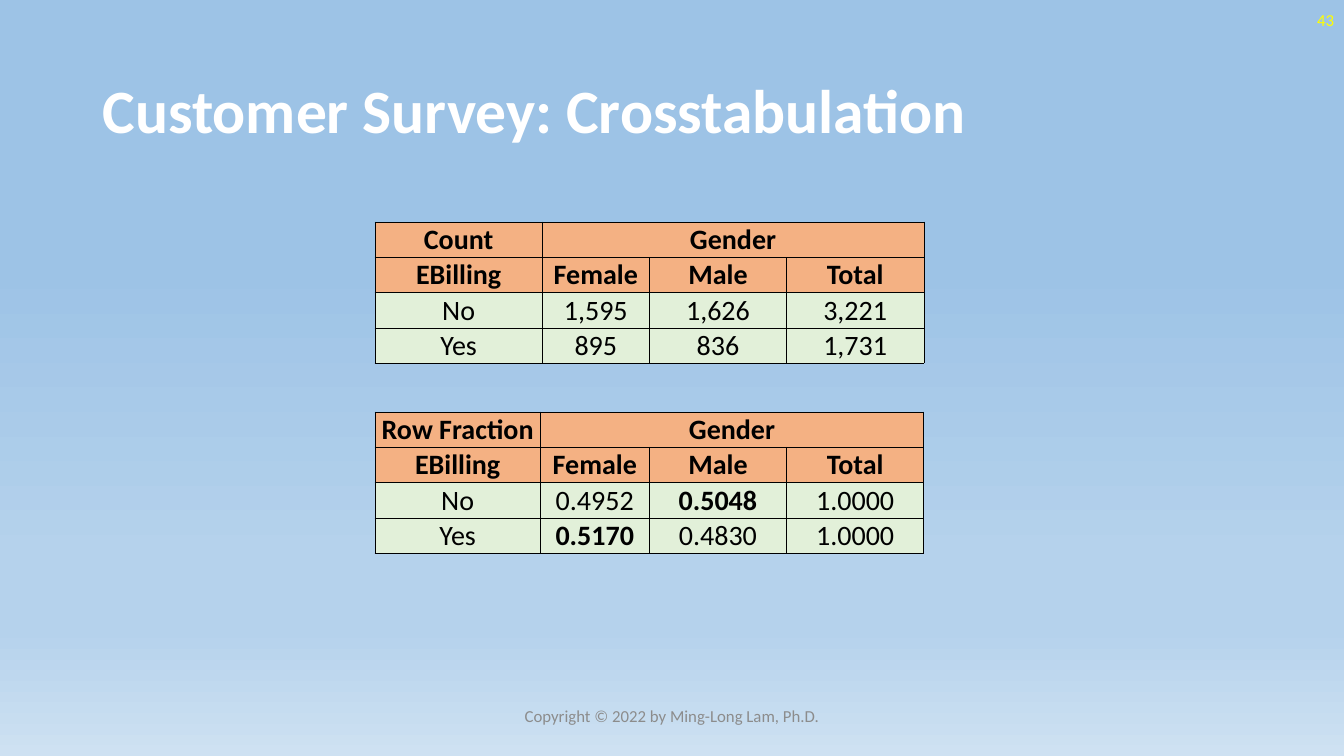
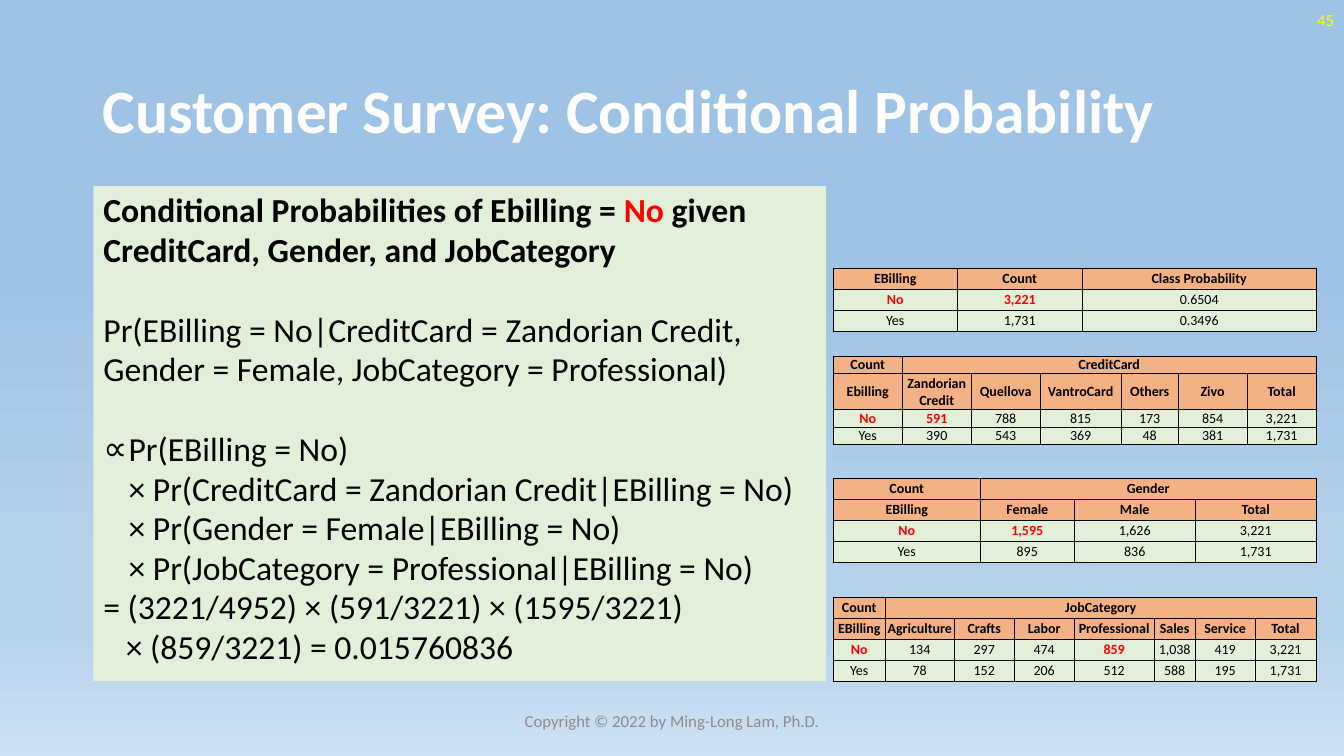
import pptx
import pptx.dml.color
import pptx.enum.shapes
import pptx.enum.text
import pptx.oxml
import pptx.oxml.ns
import pptx.util

Pt = pptx.util.Pt
RGBColor = pptx.dml.color.RGBColor
ALIGN = pptx.enum.text.PP_ALIGN
MIDDLE = pptx.enum.text.MSO_ANCHOR.MIDDLE
NS = pptx.oxml.ns.nsdecls("a")

# Shared style
FONT = "Calibri"
WHITE = RGBColor(0xFF, 0xFF, 0xFF)
BLACK = RGBColor(0x00, 0x00, 0x00)
RED = RGBColor(0xFF, 0x00, 0x00)
YELLOW = RGBColor(0xFF, 0xFF, 0x00)
GRAY = RGBColor(0x8C, 0x8C, 0x8C)
ORANGE = RGBColor(0xF4, 0xB1, 0x83)
GREEN = RGBColor(0xE2, 0xF0, 0xD9)
SKY = RGBColor(0x9D, 0xC3, 0xE6)
HAZE = RGBColor(0xB5, 0xD2, 0xEC)
HORIZON = RGBColor(0xCE, 0xE1, 0xF2)
SKY_STOPS = [(35, SKY), (74, HAZE), (83, HAZE), (100, HORIZON)]

SLIDE_WIDTH, SLIDE_HEIGHT = 960, 540
TITLE_BOX = (66.2, 28.8, 828, 104.4)
NUMBER_BOX = (744, 0, 216, 28.8)
COPYRIGHT = "Copyright © 2022 by Ming-Long Lam, Ph.D."

# Crosstab contents
GENDER_HEADER = [["Count", "Gender", "", ""],
                 ["EBilling", "Female", "Male", "Total"]]
GENDER_COUNTS = GENDER_HEADER + [["No", "1,595", "1,626", "3,221"],
                                 ["Yes", "895", "836", "1,731"]]
GENDER_FRACTIONS = [["Row Fraction", "Gender", "", ""], GENDER_HEADER[1],
                    ["No", "0.4952", "0.5048", "1.0000"],
                    ["Yes", "0.5170", "0.4830", "1.0000"]]
CLASS_PROBABILITIES = [["EBilling", "Count", "Class Probability"],
                       ["No", "3,221", "0.6504"],
                       ["Yes", "1,731", "0.3496"]]
CARD_COUNTS = [
    ["Count", "CreditCard", "", "", "", "", ""],
    ["Ebilling", "Zandorian Credit", "Quellova", "VantroCard", "Others",
     "Zivo", "Total"],
    ["No", "591", "788", "815", "173", "854", "3,221"],
    ["Yes", "390", "543", "369", "48", "381", "1,731"]]
JOB_COUNTS = [
    ["Count", "JobCategory", "", "", "", "", "", ""],
    ["EBilling", "Agriculture", "Crafts", "Labor", "Professional", "Sales",
     "Service", "Total"],
    ["No", "134", "297", "474", "859", "1,038", "419", "3,221"],
    ["Yes", "78", "152", "206", "512", "588", "195", "1,731"]]


def add_run(paragraph, text, size, color=BLACK, bold=False):
    run = paragraph.add_run()
    run.text = text
    run.font.name = FONT
    run.font.size = Pt(size)
    run.font.bold = bold
    run.font.color.rgb = color


def draw_line(slide, box, text, size, color, align=ALIGN.LEFT, bold=False,
              spacing=1.0):
    """A single line of text, centred vertically in its box."""
    frame = slide.shapes.add_textbox(*map(Pt, box)).text_frame
    frame.word_wrap = True
    frame.vertical_anchor = MIDDLE
    paragraph = frame.paragraphs[0]
    paragraph.alignment = align
    paragraph.line_spacing = spacing
    add_run(paragraph, text, size, color, bold)


def paint_sky(master):
    """Gradient background that every slide inherits."""
    fill = master.background.fill
    fill.gradient()
    fill.gradient_angle = 270
    stops = fill.gradient_stops
    stop_list = master.element.find(".//" + pptx.oxml.ns.qn("a:gsLst"))
    for old_stop in list(stop_list):
        stop_list.remove(old_stop)
    for percent, color in SKY_STOPS:
        stop_list.append(pptx.oxml.parse_xml(
            f'<a:gs {NS} pos="{percent * 1000}">'
            f'<a:srgbClr val="{color}"/></a:gs>'))


def start_slide(prs, title, number, footer_top):
    slide = prs.slides.add_slide(prs.slide_layouts[6])
    draw_line(slide, TITLE_BOX, title, 44, WHITE, bold=True, spacing=0.9)
    draw_line(slide, NUMBER_BOX, number, 12, YELLOW, ALIGN.RIGHT)
    draw_line(slide, (318, footer_top, 324, 28.8), COPYRIGHT, 12, GRAY,
              ALIGN.CENTER)
    return slide


def style_cell(cell, fill_color):
    cell.margin_left = cell.margin_right = cell.margin_top = Pt(0.5)
    cell.margin_bottom = 0
    cell.vertical_anchor = MIDDLE
    cell.fill.solid()
    cell.fill.fore_color.rgb = fill_color
    properties = cell._tc.get_or_add_tcPr()
    for position, side in enumerate(("lnL", "lnR", "lnT", "lnB")):
        properties.insert(position, pptx.oxml.parse_xml(
            f'<a:{side} {NS} w="{Pt(0.5)}"><a:solidFill>'
            f'<a:srgbClr val="{BLACK}"/></a:solidFill></a:{side}>'))


def draw_crosstab(slide, box, rows, column_shares, size, marked,
                  mark_color=BLACK, row_shares=None):
    """Shares divide the box; marked cells are bold in mark_color."""
    width, height = box[2:]
    row_shares = row_shares or [1] * len(rows)
    table = slide.shapes.add_table(len(rows), len(column_shares),
                                   *map(Pt, box)).table
    table.first_row = table.horz_banding = False
    for column, share in zip(table.columns, column_shares):
        column.width = Pt(width * share / sum(column_shares))
    for row, share in zip(table.rows, row_shares):
        row.height = Pt(height * share / sum(row_shares))

    header_rows = len(rows) - 2
    for r, texts in enumerate(rows):
        for c, text in enumerate(texts):
            cell = table.cell(r, c)
            is_header, is_marked = r < header_rows, (r, c) in marked
            style_cell(cell, ORANGE if is_header else GREEN)
            if text:
                paragraph = cell.text_frame.paragraphs[0]
                paragraph.alignment = ALIGN.CENTER
                add_run(paragraph, text, size,
                        mark_color if is_marked else BLACK,
                        is_header or is_marked)
    if header_rows == 2:
        table.cell(0, 1).merge(table.cell(0, len(column_shares) - 1))


def draw_derivation(slide, box):
    """Green panel that works out the conditional probability."""
    panel = slide.shapes.add_shape(
        pptx.enum.shapes.MSO_SHAPE.RECTANGLE, *map(Pt, box))
    panel.shadow.inherit = False
    panel.fill.solid()
    panel.fill.fore_color.rgb = GREEN
    panel.line.fill.background()
    frame = panel.text_frame
    frame.word_wrap = True
    frame.vertical_anchor = pptx.enum.text.MSO_ANCHOR.TOP
    size, gap = 24, 28.8

    def add_step(paragraph, lines, space_before=0, margin=0, bullet=None):
        paragraph.alignment = ALIGN.LEFT
        paragraph.line_spacing = 0.98
        paragraph.space_before = Pt(space_before)
        properties = paragraph._p.get_or_add_pPr()
        properties.set("marL", str(Pt(margin)))
        properties.set("indent", str(-Pt(margin) if bullet else 0))
        if bullet:
            properties.append(pptx.oxml.parse_xml(
                f'<a:buFont {NS} typeface="{FONT}"/>'))
            properties.append(pptx.oxml.parse_xml(
                f'<a:buChar {NS} char="{bullet}"/>'))
        for i, line in enumerate(lines):
            if i:
                paragraph.add_line_break()
            add_run(paragraph, line, size)

    # Heading
    heading = frame.paragraphs[0]
    add_step(heading, [])
    add_run(heading, "Conditional Probabilities of Ebilling = ", size,
            bold=True)
    add_run(heading, "No", size, RED, bold=True)
    add_run(heading, " given CreditCard, Gender, and JobCategory", size,
            bold=True)

    # Question, factors and result
    add_step(frame.add_paragraph(), [
        "Pr(EBilling = No|CreditCard = Zandorian Credit, "
        "Gender = Female, JobCategory = Professional)"], gap)
    add_step(frame.add_paragraph(), [
        "Pr(EBilling = No)",
        "× Pr(CreditCard = Zandorian Credit|EBilling = No)",
        "× Pr(Gender = Female|EBilling = No)",
        "× Pr(JobCategory = Professional|EBilling = No)"], gap, 18, "∝")
    add_step(frame.add_paragraph(),
             ["= (3221/4952) × (591/3221) × (1595/3221)"])
    add_step(frame.add_paragraph(), ["× (859/3221) = 0.015760836"], margin=16)


def build_crosstab_slide(prs):
    slide = start_slide(prs, "Customer Survey: Crosstabulation", "43", 496.8)
    left, width, height = 267.9, 392, 100.8
    draw_crosstab(slide, (left, 158.6, width, height), GENDER_COUNTS,
                  [167, 107, 137, 137], 20, set())
    draw_crosstab(slide, (left, 294.3, width, height), GENDER_FRACTIONS,
                  [165, 109, 137, 137], 20, {(2, 2), (3, 1)})


def build_probability_slide(prs):
    slide = start_slide(prs, "Customer Survey: Conditional Probability",
                        "45", 500.4)
    draw_derivation(slide, (66.8, 133, 523.4, 353.6))
    # top, height, rows, column shares, red cells, row shares
    evidence = [
        (191.4, 45, CLASS_PROBABILITIES, [124, 125, 234],
         {(1, 0), (1, 1)}, None),
        (254.3, 63.4, CARD_COUNTS, [69, 69, 69, 81, 57, 69, 69],
         {(2, 0), (2, 1)}, [1, 2, 1, 1]),
        (341.4, 60, GENDER_COUNTS, [147, 94, 121, 121],
         {(2, 0), (2, 1)}, None),
        (426.6, 60, JOB_COUNTS, [52, 69, 60, 60, 80, 41, 60, 61],
         {(2, 0), (2, 4)}, None),
    ]
    for top, height, rows, column_shares, marked, row_shares in evidence:
        draw_crosstab(slide, (595.2, top, 345, height), rows, column_shares,
                      10, marked, RED, row_shares)


def main():
    prs = pptx.Presentation()
    prs.slide_width, prs.slide_height = Pt(SLIDE_WIDTH), Pt(SLIDE_HEIGHT)
    paint_sky(prs.slide_master)
    build_crosstab_slide(prs)
    build_probability_slide(prs)
    prs.save("out.pptx")


if __name__ == "__main__":
    main()
